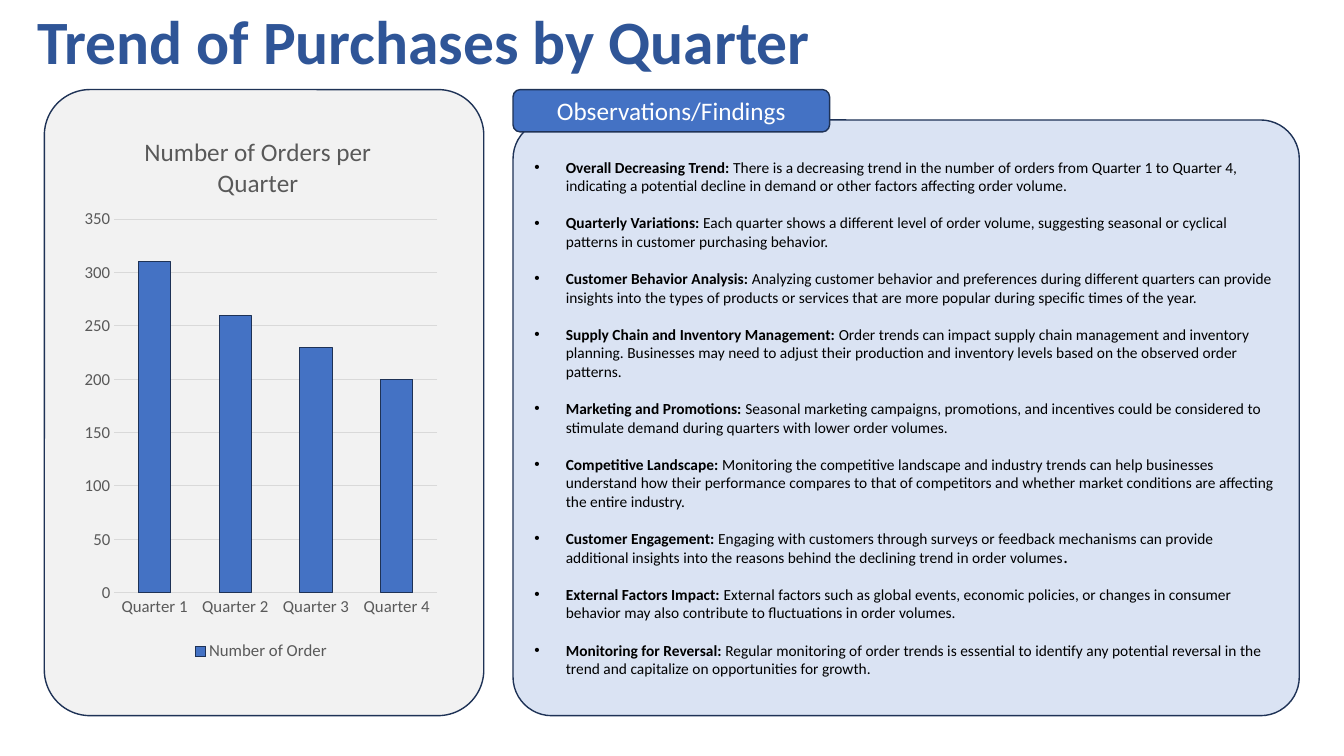
from lxml.etree import SubElement
from pptx import Presentation
from pptx.chart.data import CategoryChartData
from pptx.dml.color import RGBColor
from pptx.enum.chart import XL_CHART_TYPE, XL_LEGEND_POSITION, XL_TICK_MARK
from pptx.enum.shapes import MSO_SHAPE
from pptx.enum.text import MSO_ANCHOR, PP_ALIGN
from pptx.oxml import parse_xml
from pptx.oxml.ns import nsdecls, qn
from pptx.util import Pt

# Content
TITLE = "Trend of Purchases by Quarter"
LABEL = "Observations/Findings"
HEAD = "Number of Orders per Quarter"
SERIES = "Number of Order"
ORDERS = {"Quarter 1": 310, "Quarter 2": 260, "Quarter 3": 230, "Quarter 4": 200}
NOTES = [
    ("Overall Decreasing Trend:", " There is a decreasing trend in the number of orders from Quarter 1 to Quarter 4, indicating a potential decline in demand or other factors affecting order volume."),
    ("Quarterly Variations:", " Each quarter shows a different level of order volume, suggesting seasonal or cyclical patterns in customer purchasing behavior."),
    ("Customer Behavior Analysis:", " Analyzing customer behavior and preferences during different quarters can provide insights into the types of products or services that are more popular during specific times of the year."),
    ("Supply Chain and Inventory Management:", " Order trends can impact supply chain management and inventory planning. Businesses may need to adjust their production and inventory levels based on the observed order patterns."),
    ("Marketing and Promotions:", " Seasonal marketing campaigns, promotions, and incentives could be considered to stimulate demand during quarters with lower order volumes."),
    ("Competitive Landscape:", " Monitoring the competitive landscape and industry trends can help businesses understand how their performance compares to that of competitors and whether market conditions are affecting the entire industry."),
    ("Customer Engagement:", " Engaging with customers through surveys or feedback mechanisms can provide additional insights into the reasons behind the declining trend in order volumes", "."),
    ("External Factors Impact:", " External factors such as global events, economic policies, or changes in consumer behavior may also contribute to fluctuations in order volumes."),
    ("Monitoring for Reversal:", " Regular monitoring of order trends is essential to identify any potential reversal in the trend and capitalize on opportunities for growth."),
]

# Style
FONT = "Calibri"
NAVY = RGBColor(0x1E, 0x32, 0x56)
BLUE = RGBColor(0x44, 0x72, 0xC4)
DEEP = RGBColor(0x2F, 0x55, 0x97)
PALE = RGBColor(0xDA, 0xE3, 0xF3)
GRAY = RGBColor(0xF2, 0xF2, 0xF2)
RULE = RGBColor(0xD9, 0xD9, 0xD9)
TEXT = RGBColor(0x59, 0x59, 0x59)
WHITE = RGBColor(255, 255, 255)
BLACK = RGBColor(0, 0, 0)

# Places in points
TOP, BASE = 64, 511.2
LEFT, RIGHT = 31.7, 366.5
TAB = 30.2
DROP = 85.7

deck = Presentation()
deck.slide_width, deck.slide_height = Pt(960), Pt(540)
slide = deck.slides.add_slide(deck.slide_layouts[6])


def style(font, size, color, bold=False):
    font.name, font.size, font.bold = FONT, Pt(size), bold
    font.color.rgb = color


def panel(x, y, w, h, fill, round_by):
    box = slide.shapes.add_shape(MSO_SHAPE.ROUNDED_RECTANGLE, Pt(x), Pt(y), Pt(w), Pt(h))
    box.adjustments[0] = round_by
    box.shadow.inherit = False
    box.fill.solid()
    box.fill.fore_color.rgb = fill
    box.line.color.rgb, box.line.width = NAVY, Pt(1)
    box.text_frame.word_wrap = True
    box.text_frame.vertical_anchor = MSO_ANCHOR.MIDDLE
    return box


def place(node, mode, **parts):
    """Give a chart part a fixed place, as shares of the chart."""
    for old in node.findall(qn("c:layout")):
        node.remove(old)
    inner = '<c:layoutTarget val="inner"/>' if mode == "inner" else ""
    modes = "".join(f'<c:{key}Mode val="edge"/>' for key in "xy")
    sizes = "".join(f'<c:{key} val="{val}"/>' for key, val in parts.items())
    return parse_xml(f'<c:layout {nsdecls("c")}><c:manualLayout>{inner}{modes}{sizes}'
                     '</c:manualLayout></c:layout>')


# Findings
box = panel(RIGHT, DROP, 561.6, BASE - DROP, PALE, 0.065)
frame = box.text_frame
for i, note in enumerate(NOTES):
    para = frame.paragraphs[0] if i == 0 else frame.add_paragraph()
    para.alignment = PP_ALIGN.LEFT
    para.space_before = Pt(13.4 if i else 0)
    style(para.font, 11, BLACK)
    for j, words in enumerate(note):
        run = para.add_run()
        run.text = words
        style(run.font, 11, BLACK, j != 1)
    props = para._p.get_or_add_pPr()
    props.set("marL", str(Pt(22.5)))
    props.set("indent", str(-Pt(22.5)))
    mark = SubElement(props, qn("a:buFont"))
    mark.set("typeface", "Arial")
    SubElement(props, qn("a:buChar")).set("char", "•")
    props.append(props.find(qn("a:defRPr")))

# Chart panel
panel(LEFT, TOP, 313.9, BASE - TOP, GRAY, 0.104)

# Title
box = slide.shapes.add_textbox(Pt(19.4), Pt(-3.6), Pt(720), Pt(62.6))
frame = box.text_frame
frame.word_wrap = True
frame.vertical_anchor = MSO_ANCHOR.BOTTOM
para = frame.paragraphs[0]
para.text = TITLE
para.line_spacing = 0.9
style(para.font, 44, DEEP, True)

# Chart
data = CategoryChartData()
data.categories = list(ORDERS)
data.add_series(SERIES, list(ORDERS.values()))
chart = slide.shapes.add_chart(XL_CHART_TYPE.COLUMN_STACKED, Pt(55.4), Pt(77),
                               Pt(262.1), Pt(398.2), data).chart
style(chart.font, 12, TEXT)
chart.has_title = True
para = chart.chart_title.text_frame.paragraphs[0]
para.text = HEAD
style(para.font, 18, TEXT)
title = chart.chart_title._element
spot = place(title, "edge", x=0.17, y=0.04)
title.find(qn("c:tx")).addnext(spot)
chart.chart_title.include_in_layout = False

chart.has_legend = True
chart.legend.position = XL_LEGEND_POSITION.BOTTOM
chart.legend.include_in_layout = False
style(chart.legend.font, 12, TEXT)

for axis in (chart.category_axis, chart.value_axis):
    axis.major_tick_mark = axis.minor_tick_mark = XL_TICK_MARK.NONE
    axis.format.line.fill.background()
    style(axis.tick_labels.font, 12, TEXT)
axis = chart.value_axis
axis.minimum_scale, axis.maximum_scale, axis.major_unit = 0, 350, 50
grid = axis.major_gridlines.format.line
grid.color.rgb, grid.width = RULE, Pt(0.75)

plot = chart.plots[0]
plot.gap_width, plot.overlap, plot.vary_by_categories = 150, 100, False
bars = plot.series[0].format
bars.fill.solid()
bars.fill.fore_color.rgb = BLUE
bars.line.color.rgb, bars.line.width = NAVY, Pt(0.75)
area = plot._element.getparent()
area.insert(0, place(area, "inner", x=0.1, y=0.2, w=0.88, h=0.67))

# Label tab
para = panel(RIGHT, TOP, 226.1, TAB, BLUE, 0.167).text_frame.paragraphs[0]
para.text = LABEL
para.alignment = PP_ALIGN.CENTER
style(para.font, 18, WHITE)

deck.save("out.pptx")
